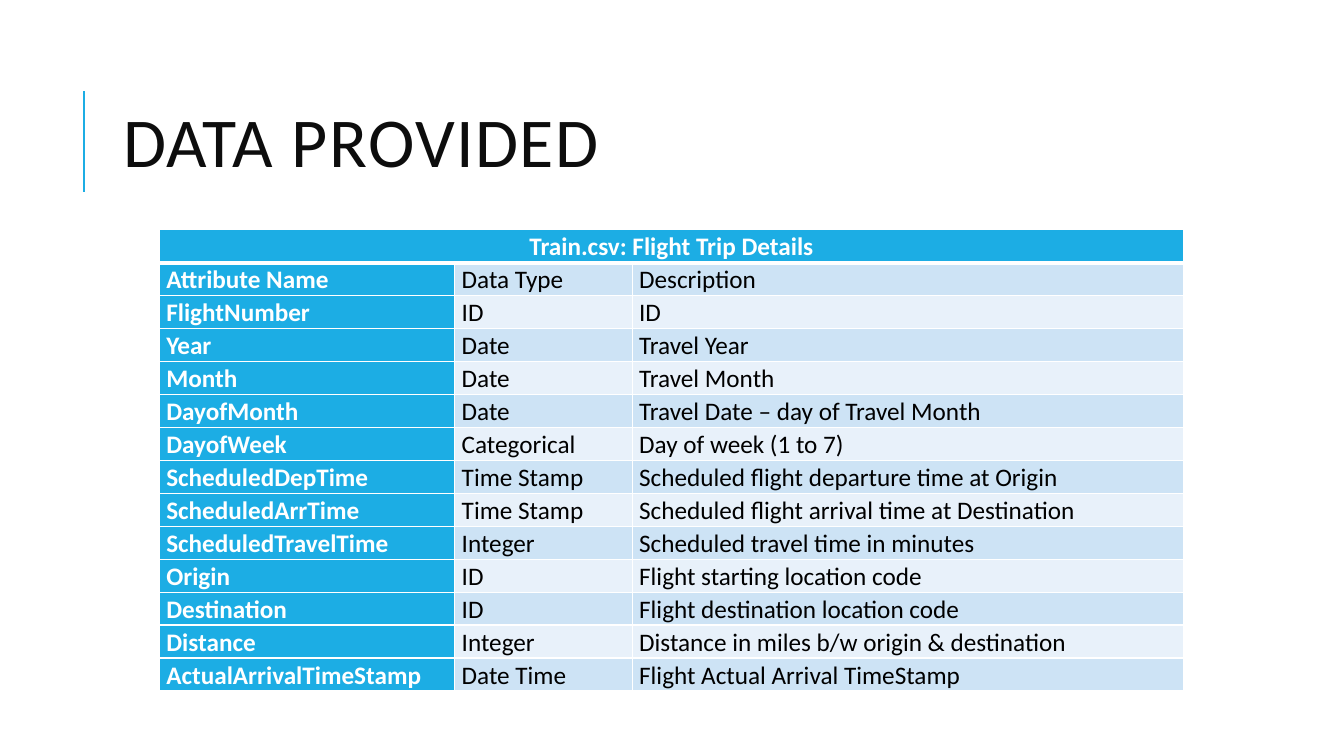
from lxml import etree
from pptx import Presentation
from pptx.dml.color import RGBColor
from pptx.enum import shapes, text
from pptx.oxml import ns
from pptx.util import Inches, Pt

COLORS = {
    "accent": "1CADE4",
    "band_dark": "CDE3F5",
    "band_light": "E8F1FA",
    "heading": "0D0D0D",
    "body": "000000",
    "white": "FFFFFF",
}
CAPTION = "Train.csv: Flight Trip Details"
ATTRIBUTES = [
    ("Attribute Name", "Data Type", "Description"),
    ("FlightNumber", "ID", "ID"),
    ("Year", "Date", "Travel Year"),
    ("Month", "Date", "Travel Month"),
    ("DayofMonth", "Date", "Travel Date – day of Travel Month"),
    ("DayofWeek", "Categorical", "Day of week (1 to 7)"),
    ("ScheduledDepTime", "Time Stamp", "Scheduled flight departure time at Origin"),
    ("ScheduledArrTime", "Time Stamp", "Scheduled flight arrival time at Destination"),
    ("ScheduledTravelTime", "Integer", "Scheduled travel time in minutes"),
    ("Origin", "ID", "Flight starting location code"),
    ("Destination", "ID", "Flight destination location code"),
    ("Distance", "Integer", "Distance in miles b/w origin & destination"),
    ("ActualArrivalTimeStamp", "Date Time", "Flight Actual Arrival TimeStamp"),
]
COLUMN_WIDTHS = (2.93, 1.76, 5.47)
CELL_MARGINS = {
    "margin_left": Inches(0.07),
    "margin_right": Inches(0.07),
    "margin_top": 0,
    "margin_bottom": 0,
}


def rgb(name):
    return RGBColor.from_string(COLORS[name])


def set_attributes(target, values):
    for name, value in values.items():
        setattr(target, name, value)


def format_font(font, size, color, bold=False):
    set_attributes(font, {"name": "Calibri", "size": Pt(size), "bold": bold})
    font.color.rgb = rgb(color)


def add_title(slide, wording):
    title = slide.shapes.title
    set_attributes(title, {
        "left": Inches(1.12), "top": Inches(0.64),
        "width": Inches(10.63), "height": Inches(1.64),
    })
    title.text_frame.text = wording
    set_attributes(title.text_frame, {
        "vertical_anchor": text.MSO_ANCHOR.MIDDLE,
        "auto_size": text.MSO_AUTO_SIZE.NONE,
        "word_wrap": True,
    })
    heading = title.text_frame.paragraphs[0]
    set_attributes(heading, {"alignment": text.PP_ALIGN.LEFT, "line_spacing": 0.8})
    run = heading.runs[0]
    format_font(run.font, 50, "heading")
    run.font._element.set("spc", "100")


def add_title_rule(slide):
    rule = slide.shapes.add_connector(
        shapes.MSO_CONNECTOR.STRAIGHT,
        Inches(0.83), Inches(1.9), Inches(0.83), Inches(0.9))
    rule.line.color.rgb = rgb("accent")
    rule.line.width = Pt(1.5)
    etree.SubElement(rule._element.spPr, ns.qn("a:effectLst"))


def add_borders(cell, top=1, bottom=1):
    """Draw white cell borders; call before filling to keep the XML order."""
    properties = cell._tc.get_or_add_tcPr()
    for side, width in {"L": 1, "R": 1, "T": top, "B": bottom}.items():
        border = etree.SubElement(properties, ns.qn(f"a:ln{side}"), w=str(Pt(width)))
        fill = etree.SubElement(border, ns.qn("a:solidFill"))
        etree.SubElement(fill, ns.qn("a:srgbClr"), val=COLORS["white"])


def fill_cell(cell, wording, fill, color, bold, alignment):
    cell.fill.solid()
    cell.fill.fore_color.rgb = rgb(fill)
    set_attributes(cell, CELL_MARGINS)
    cell.text = wording
    paragraph = cell.text_frame.paragraphs[0]
    set_attributes(paragraph, {"alignment": alignment, "line_spacing": 1.07})
    format_font(paragraph.runs[0].font, 18, color, bold)


def add_attribute_table(slide):
    table = slide.shapes.add_table(
        len(ATTRIBUTES) + 1, len(COLUMN_WIDTHS),
        Inches(1.58), Inches(2.28), Inches(10.17), Inches(4.58)).table
    table.first_col = True
    for column, width in zip(table.columns, COLUMN_WIDTHS):
        column.width = Inches(width)

    for cell in table.rows[0].cells:
        add_borders(cell, bottom=3)
    caption = table.cell(0, 0)
    caption.merge(table.cell(0, len(COLUMN_WIDTHS) - 1))
    fill_cell(caption, CAPTION, "accent", "white", True, text.PP_ALIGN.CENTER)

    for row, attribute in enumerate(ATTRIBUTES, start=1):
        band = "band_dark" if row % 2 else "band_light"
        for column, wording in enumerate(attribute):
            cell = table.cell(row, column)
            is_name = column == 0
            add_borders(cell, top=3 if row == 1 else 1)
            fill_cell(cell, wording, "accent" if is_name else band,
                      "white" if is_name else "body", is_name,
                      text.PP_ALIGN.JUSTIFY)


def main():
    deck = Presentation()
    deck.slide_width, deck.slide_height = Inches(13.33), Inches(7.5)
    slide = deck.slides.add_slide(deck.slide_layouts.get_by_name("Title Only"))
    add_title_rule(slide)
    add_title(slide, "DATA PROVIDED")
    add_attribute_table(slide)
    deck.save("out.pptx")


if __name__ == "__main__":
    main()
